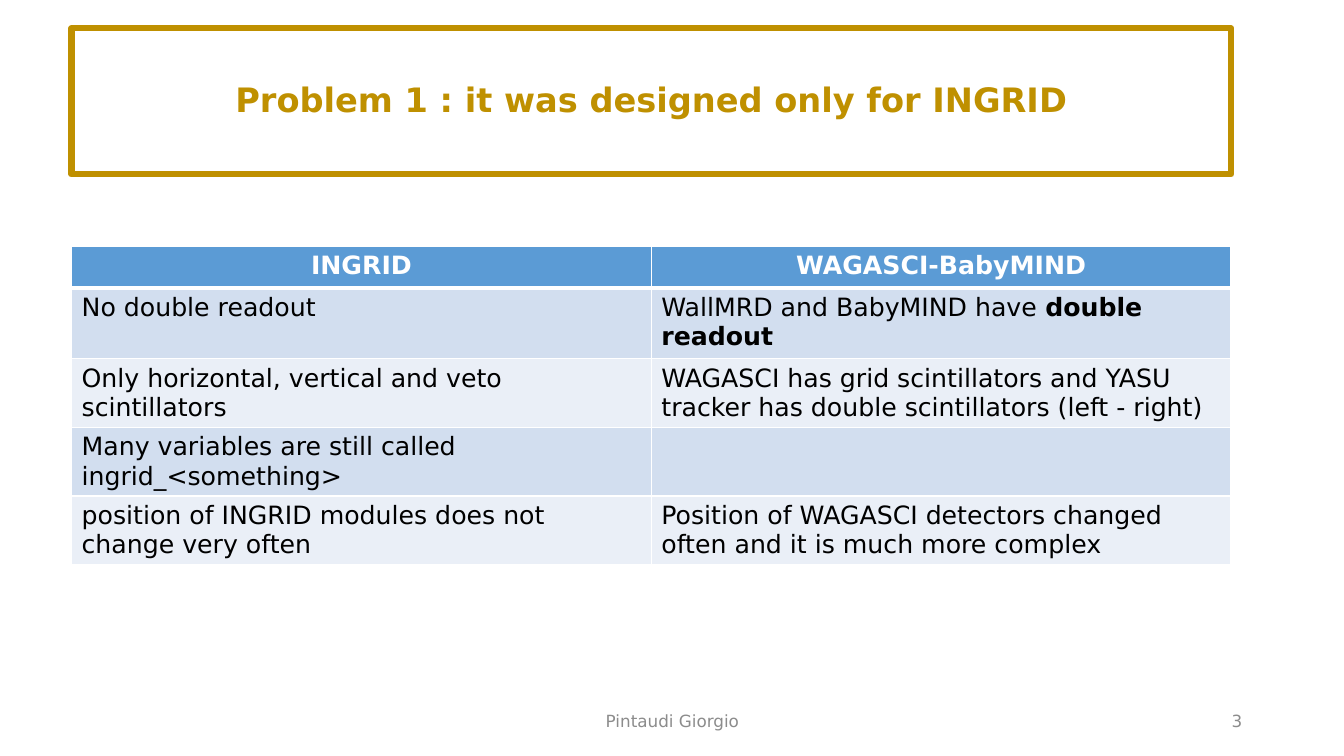
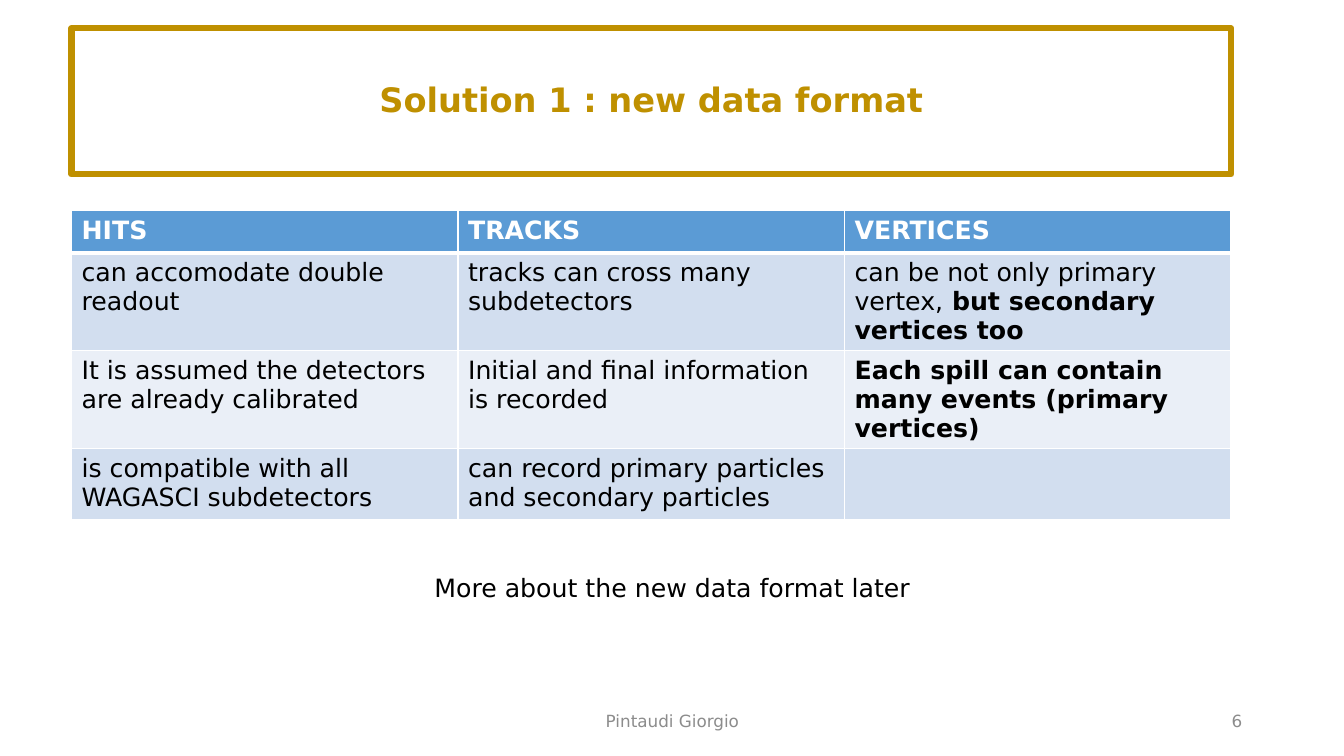
"""Build two slides comparing detectors and presenting the new data format."""
from lxml.etree import SubElement
from pptx import Presentation
from pptx.dml.color import RGBColor
from pptx.enum.text import MSO_ANCHOR, PP_ALIGN
from pptx.oxml.ns import qn
from pptx.util import Inches, Pt

GOLD = RGBColor(0xBF, 0x90, 0x00)
WHITE = RGBColor(0xFF, 0xFF, 0xFF)
BLACK = RGBColor(0, 0, 0)
GRAY = RGBColor(0x8C, 0x8C, 0x8C)
HEADER_BLUE = RGBColor(0x5B, 0x9B, 0xD5)
BAND_FILLS = [RGBColor(0xD2, 0xDE, 0xEF), RGBColor(0xEA, 0xEF, 0xF7)]
FONT = "DejaVu Sans"

CONTENT_LEFT, CONTENT_WIDTH = 0.71, 11.5
FOOTER_TOP, FOOTER_HEIGHT = 6.95, 0.4
AUTHOR = "Pintaudi Giorgio"
TITLE_FORMAT = {"size": Pt(24), "bold": True, "color": GOLD}
HEADER_FORMAT = {"size": Pt(18), "bold": True, "color": WHITE}
BODY_FORMAT = {"size": Pt(18), "bold": False, "color": BLACK}
FOOTER_FORMAT = {"size": Pt(12), "bold": False, "color": GRAY}

# Each cell is a (regular text, bold text) pair.
SLIDES = [
    {
        "title": "Problem 1 : it was designed only for INGRID",
        "number": "3",
        "table_top": 2.44,
        "header_align": PP_ALIGN.CENTER,
        "header": ["INGRID", "WAGASCI-BabyMIND"],
        "row_heights": [0.42, 0.7, 0.68, 0.68, 0.68],
        "rows": [
            [("No double readout", ""),
             ("WallMRD and BabyMIND have ", "double readout")],
            [("Only horizontal, vertical and veto scintillators", ""),
             ("WAGASCI has grid scintillators and YASU tracker has double "
              "scintillators (left - right)", "")],
            [("Many variables are still called ingrid_<something>", ""), ("", "")],
            [("position of INGRID modules does not change very often", ""),
             ("Position of WAGASCI detectors changed often and it is much "
              "more complex", "")],
        ],
        "note": "",
    },
    {
        "title": "Solution 1 : new data format",
        "number": "6",
        "table_top": 2.09,
        "header_align": PP_ALIGN.LEFT,
        "header": ["HITS", "TRACKS", "VERTICES"],
        "row_heights": [0.42, 0.97, 0.97, 0.7],
        "rows": [
            [("can accomodate double readout", ""),
             ("tracks can cross many subdetectors", ""),
             ("can be not only primary vertex,", " but secondary vertices too")],
            [("It is assumed the detectors are already calibrated", ""),
             ("Initial and final information is recorded", ""),
             ("", "Each spill can contain many events (primary vertices)")],
            [("is compatible with all WAGASCI subdetectors", ""),
             ("can record primary particles and secondary particles", ""),
             ("", "")],
        ],
        "note": "More about the new data format later",
    },
]


def format_font(font, style):
    font.name = FONT
    font.color.rgb = style["color"]
    for name in ("size", "bold"):
        setattr(font, name, style[name])


def add_run(paragraph, text, style):
    run = paragraph.add_run()
    run.text = text
    format_font(run.font, style)


def add_title(slide, text):
    title = slide.shapes.title
    title.left, title.top = Inches(CONTENT_LEFT), Inches(0.28)
    title.width, title.height = Inches(CONTENT_WIDTH), Inches(1.45)
    title.fill.solid()
    title.fill.fore_color.rgb = WHITE
    title.line.color.rgb = GOLD
    title.line.width = Pt(4.5)
    title.text_frame.vertical_anchor = MSO_ANCHOR.MIDDLE
    paragraph = title.text_frame.paragraphs[0]
    paragraph.alignment = PP_ALIGN.CENTER
    paragraph.line_spacing = 0.9
    add_run(paragraph, text, TITLE_FORMAT)


def add_text(slide, box, text, style, align, anchor=MSO_ANCHOR.MIDDLE, wrap=True):
    frame = slide.shapes.add_textbox(*map(Inches, box)).text_frame
    frame.word_wrap = wrap
    frame.vertical_anchor = anchor
    frame.paragraphs[0].alignment = align
    add_run(frame.paragraphs[0], text, style)


def add_borders(cell, top, bottom):
    properties = cell._tc.get_or_add_tcPr()
    for side, width in (("L", 1), ("R", 1), ("T", top), ("B", bottom)):
        line = SubElement(properties, qn(f"a:ln{side}"), w=str(Pt(width)))
        fill = SubElement(line, qn("a:solidFill"))
        SubElement(fill, qn("a:srgbClr"), val=str(WHITE))


def add_comparison_table(slide, content):
    rows = [[(text, "") for text in content["header"]]] + content["rows"]
    heights, column_count = content["row_heights"], len(content["header"])
    box = CONTENT_LEFT, content["table_top"], CONTENT_WIDTH, sum(heights)
    table = slide.shapes.add_table(len(rows), column_count, *map(Inches, box)).table
    table.first_row = table.horz_banding = False
    for column in table.columns:
        column.width = Inches(CONTENT_WIDTH / column_count)
    for row_index, (row, height) in enumerate(zip(rows, heights)):
        table.rows[row_index].height = Inches(height)
        is_header = row_index == 0
        style = HEADER_FORMAT if is_header else BODY_FORMAT
        for column_index, (regular, bold) in enumerate(row):
            cell = table.cell(row_index, column_index)
            add_borders(cell, 3 if row_index == 1 else 1, 3 if is_header else 1)
            cell.fill.solid()
            cell.fill.fore_color.rgb = (
                HEADER_BLUE if is_header else BAND_FILLS[(row_index - 1) % 2])
            paragraph = cell.text_frame.paragraphs[0]
            paragraph.alignment = content["header_align"] if is_header else PP_ALIGN.LEFT
            if regular:
                add_run(paragraph, regular, style)
            if bold:
                add_run(paragraph, bold, {**style, "bold": True})


def add_footer(slide, number):
    for left, width, text, align in (
        (4.42, 4.5, AUTHOR, PP_ALIGN.CENTER),
        (9.42, 3, number, PP_ALIGN.RIGHT),
    ):
        add_text(slide, (left, FOOTER_TOP, width, FOOTER_HEIGHT), text,
                 FOOTER_FORMAT, align)


def main():
    presentation = Presentation()
    presentation.slide_width, presentation.slide_height = Inches(13.33), Inches(7.5)
    title_only = presentation.slide_layouts[5]
    for content in SLIDES:
        slide = presentation.slides.add_slide(title_only)
        add_title(slide, content["title"])
        add_comparison_table(slide, content)
        if content["note"]:
            add_text(slide, (4.21, 5.63, 4.92, 0.4), content["note"], BODY_FORMAT,
                     PP_ALIGN.LEFT, MSO_ANCHOR.TOP, wrap=False)
        add_footer(slide, content["number"])
    presentation.save("out.pptx")


if __name__ == "__main__":
    main()
